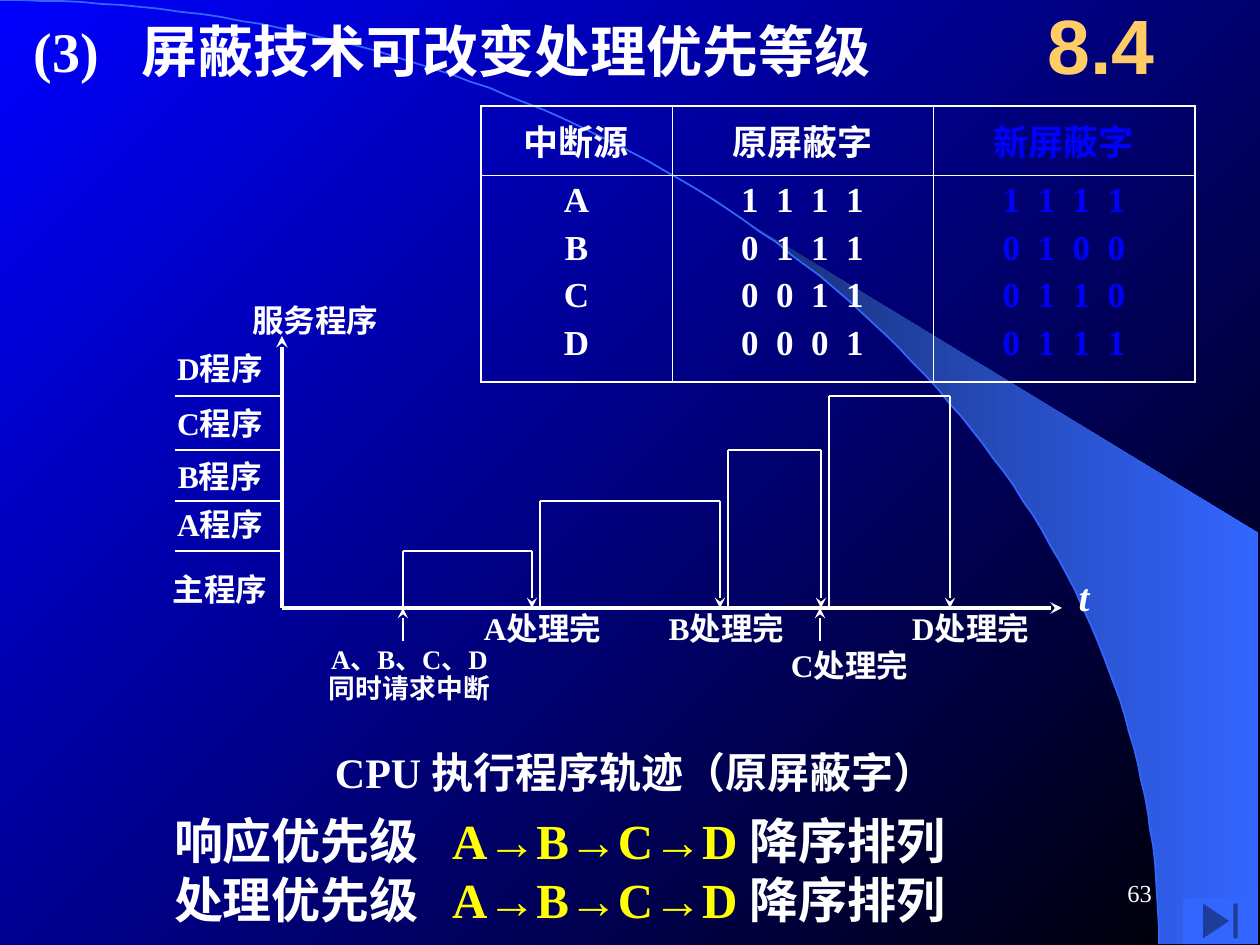
"""Build the slide on how mask words change interrupt handling priority."""
from dataclasses import dataclass
from math import cos, radians, sin

from lxml.etree import SubElement
from pptx import Presentation
from pptx.dml.color import RGBColor
from pptx.enum.shapes import MSO_CONNECTOR, MSO_SHAPE
from pptx.enum.text import MSO_ANCHOR, PP_ALIGN
from pptx.oxml.ns import qn
from pptx.util import Emu, Pt


@dataclass(frozen=True)
class Theme:
    white: str = "FFFFFF"
    black: str = "000000"
    blue: str = "0000FF"
    sky: str = "3366FF"
    navy: str = "182F76"
    gold: str = "FFCC66"
    yellow: str = "FFFF00"
    serif: str = "Times New Roman"
    sans: str = "Arial"
    section: float = 44
    title: float = 32
    priority: float = 28
    caption: float = 24
    axis: float = 22.2
    table: float = 20
    label: float = 18
    request: float = 15.3
    number: float = 14


theme = Theme()
PX = 914400 / 126
LEFT, CENTER, RIGHT = PP_ALIGN.LEFT, PP_ALIGN.CENTER, PP_ALIGN.RIGHT
TOP, MIDDLE = MSO_ANCHOR.TOP, MSO_ANCHOR.MIDDLE

presentation = Presentation()
presentation.slide_width = Emu(round(1260 * PX))
presentation.slide_height = Emu(round(945 * PX))
slide = presentation.slides.add_slide(presentation.slide_layouts[6])
shapes = slide.shapes


def format_text(text_frame, size, align, color=theme.white, font=theme.serif):
    for paragraph in text_frame.paragraphs:
        paragraph.alignment = align
        for run in paragraph.runs:
            run.font.name = font
            run.font.size = Pt(size)
            run.font.bold = True
            run.font.color.rgb = RGBColor.from_string(color)


def add_line(start, end, weight, arrow=False):
    line = shapes.add_connector(
        MSO_CONNECTOR.STRAIGHT, *[Emu(round(value * PX)) for value in (*start, *end)])
    line.line.color.rgb = RGBColor.from_string(theme.white)
    line.line.width = Pt(weight)
    if arrow:
        SubElement(line.line._get_or_add_ln(), qn("a:tailEnd"), type="stealth")
    SubElement(line._element.spPr, qn("a:effectLst"))


arc = [(1159 * sin(radians(angle)), 944 - 944 * cos(radians(angle))) for angle in range(91)]
wedge = [(1258, 944), (1258, 533)] + arc[40:]
outlines = []
for points in (wedge, arc):
    builder = shapes.build_freeform(*points[0], scale=PX)
    builder.add_line_segments(points[1:], close=points is wedge)
    shape = builder.convert_to_shape()
    shape.shadow.inherit = False
    outlines.append(shape)
beam, curve = outlines
beam.line.fill.background()
curve.fill.background()
curve.line.color.rgb = RGBColor.from_string(theme.sky)
curve.line.width = Pt(1)

for fill, colors, angle in (
    (slide.background.fill, (theme.blue, theme.black), 315),
    (beam.fill, (theme.navy, theme.sky), 0),
):
    fill.gradient()
    fill.gradient_angle = angle
    for stop, color in zip(fill.gradient_stops, colors):
        stop.color.rgb = RGBColor.from_string(color)

button = shapes.add_shape(
    MSO_SHAPE.ACTION_BUTTON_END, *[Emu(round(value * PX)) for value in (1183, 898, 75, 46)])
button.shadow.inherit = False
button.fill.solid()
button.fill.fore_color.rgb = RGBColor.from_string(theme.sky)
button.line.fill.background()

texts = [
    (["(3)\t屏蔽技术可改变处理优先等级"], (34, 21, 914, 59), theme.title, LEFT, MIDDLE),
    (["8.4"], (1022, 0, 158, 88), theme.section, CENTER, MIDDLE),
    (["服务程序"], (229, 301, 173, 48), theme.label, CENTER, TOP),
    (["t"], (1052, 578, 64, 47), theme.axis, CENTER, TOP),
    (["A、B、C、D\n同时请求中断"], (314, 646, 191, 72), theme.request, CENTER, TOP),
    (["CPU 执行程序轨迹（原屏蔽字）"], (335, 747, 689, 50), theme.caption, LEFT, TOP),
    (["63"], (903, 861, 249, 63), theme.number, RIGHT, MIDDLE),
]
for name, top in (("D", 349), ("C", 404), ("B", 457), ("A", 505), ("主", 570)):
    texts.append(([f"{name}程序"], (164, top, 112, 47), theme.label, CENTER, TOP))
for name, left, top in (("A", 474, 609), ("B", 658, 609), ("C", 781, 646), ("D", 902, 609)):
    texts.append(([f"{name}处理完"], (left, top, 137, 45), theme.label, CENTER, TOP))
for name, top in (("响应", 810), ("处理", 869)):
    parts = [f"{name}优先级\t", "A→B→C→D ", "降序排列"]
    texts.append((parts, (174, top, 900, 59), theme.priority, LEFT, MIDDLE))

tab_stops = {theme.title: 108, theme.priority: 278}
for parts, box, size, align, anchor in texts:
    text_frame = shapes.add_textbox(*[Emu(round(value * PX)) for value in box]).text_frame
    text_frame.margin_left = text_frame.margin_right = 0
    text_frame.margin_top = text_frame.margin_bottom = 0
    text_frame.word_wrap = True
    text_frame.vertical_anchor = anchor
    text_frame.text = parts[0]
    paragraph = text_frame.paragraphs[0]
    for part in parts[1:]:
        paragraph.add_run().text = part
    if size in tab_stops:
        tabs = SubElement(paragraph._p.get_or_add_pPr(), qn("a:tabLst"))
        SubElement(tabs, qn("a:tab"), pos=str(round(tab_stops[size] * PX)), algn="l")
    format_text(text_frame, size, align)
    first_font = paragraph.runs[0].font
    if size == theme.section:
        format_text(text_frame, size, align, theme.gold, theme.sans)
    elif size == theme.priority:
        paragraph.runs[1].font.color.rgb = RGBColor.from_string(theme.yellow)
    elif size == theme.number:
        first_font.bold = False
    elif size in (theme.axis, theme.request):
        first_font.italic = size == theme.axis
        for paragraph in text_frame.paragraphs:
            paragraph.line_spacing = 0.9

origin, baseline = 282, 608
add_line((origin, baseline), (1062, baseline), 2.25, arrow=True)
add_line((origin, baseline), (origin, 336), 2.25, arrow=True)
for left, right, top, drop_weight in (
    (403, 532, 551, 1.5), (540, 720, 501, 1), (728, 821, 450, 1), (829, 950, 396, 1.5),
):
    add_line((175, top), (origin, top), 0.75)
    add_line((left, baseline), (left, top), 1.5)
    add_line((left, top), (right, top), 1.5)
    add_line((right, top), (right, baseline), drop_weight, arrow=True)
for left in (403, 820):
    add_line((left, 641), (left, baseline), 0.75, arrow=True)

rows = [
    ("中断源", "原屏蔽字", "新屏蔽字"),
    ("A\nB\nC\nD", "1 1 1 1\n0 1 1 1\n0 0 1 1\n0 0 0 1", "1 1 1 1\n0 1 0 0\n0 1 1 0\n0 1 1 1"),
]
table = shapes.add_table(2, 3, *[Emu(round(value * PX)) for value in (481, 106, 714, 276)]).table
table.first_row = table.horz_banding = False
for column, width in zip(table.columns, (191, 261, 262)):
    column.width = Emu(round(width * PX))
for row, height in zip(table.rows, (69, 207)):
    row.height = Emu(round(height * PX))
for row_index, row in enumerate(rows):
    for column_index, text in enumerate(row):
        cell = table.cell(row_index, column_index)
        cell.text = text
        cell.vertical_anchor = TOP if row_index else MIDDLE
        color = theme.blue if column_index == 2 else theme.white
        format_text(cell.text_frame, theme.table, CENTER, color)
        for paragraph in cell.text_frame.paragraphs[1:]:
            paragraph.space_before = Pt(5)
        if row_index and column_index:
            for paragraph in cell.text_frame.paragraphs:
                paragraph.runs[0].font._element.set("spc", "250")
        outer_edges = {"lnL": column_index == 0, "lnR": column_index == 2,
                       "lnT": row_index == 0, "lnB": row_index == 1}
        properties = cell._tc.get_or_add_tcPr()
        for edge, outer in outer_edges.items():
            border = SubElement(properties, qn(f"a:{edge}"), w=str(Pt(1.08 if outer else 0.45)))
            SubElement(SubElement(border, qn("a:solidFill")), qn("a:srgbClr"), val=theme.white)
        cell.fill.background()

presentation.save("out.pptx")
